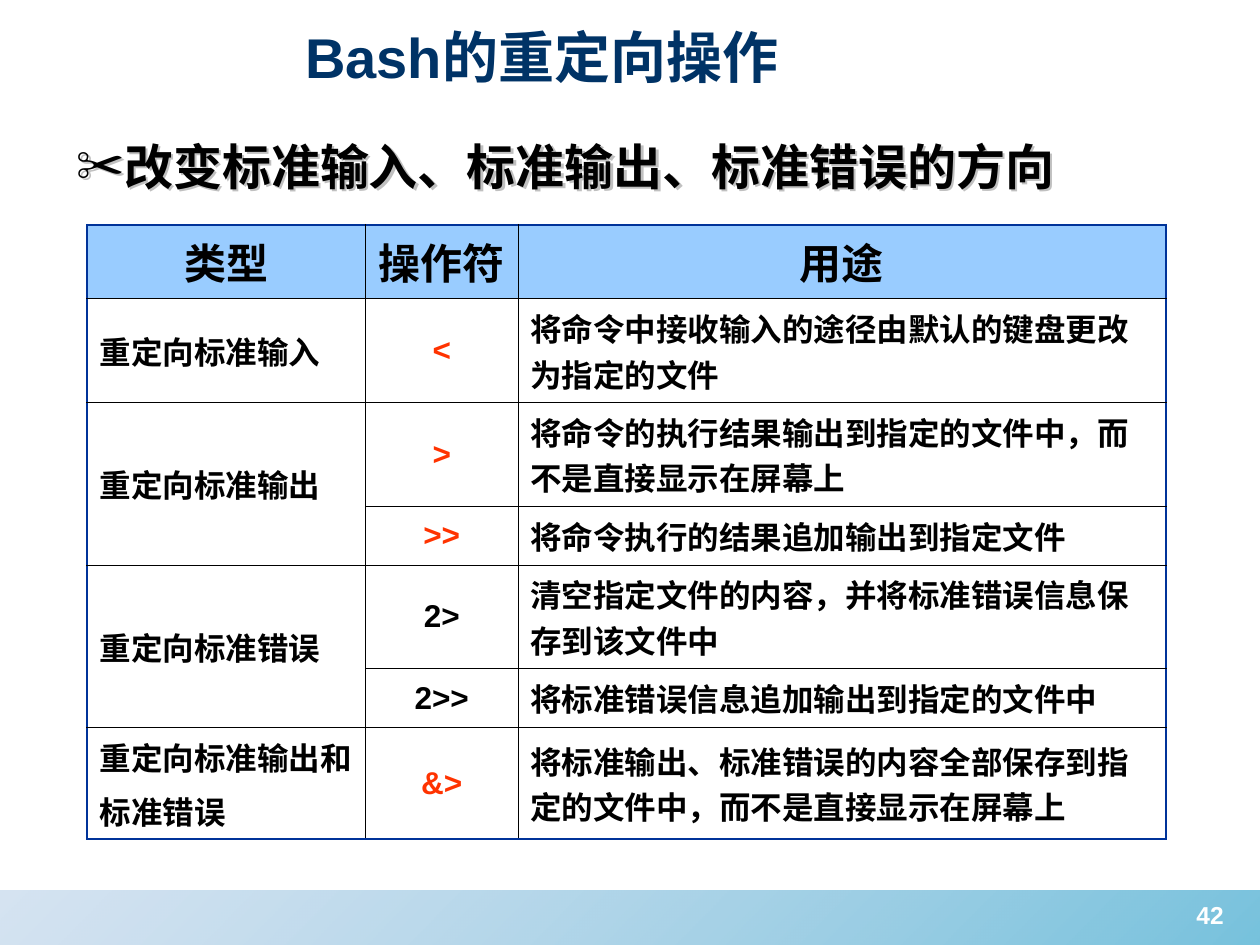
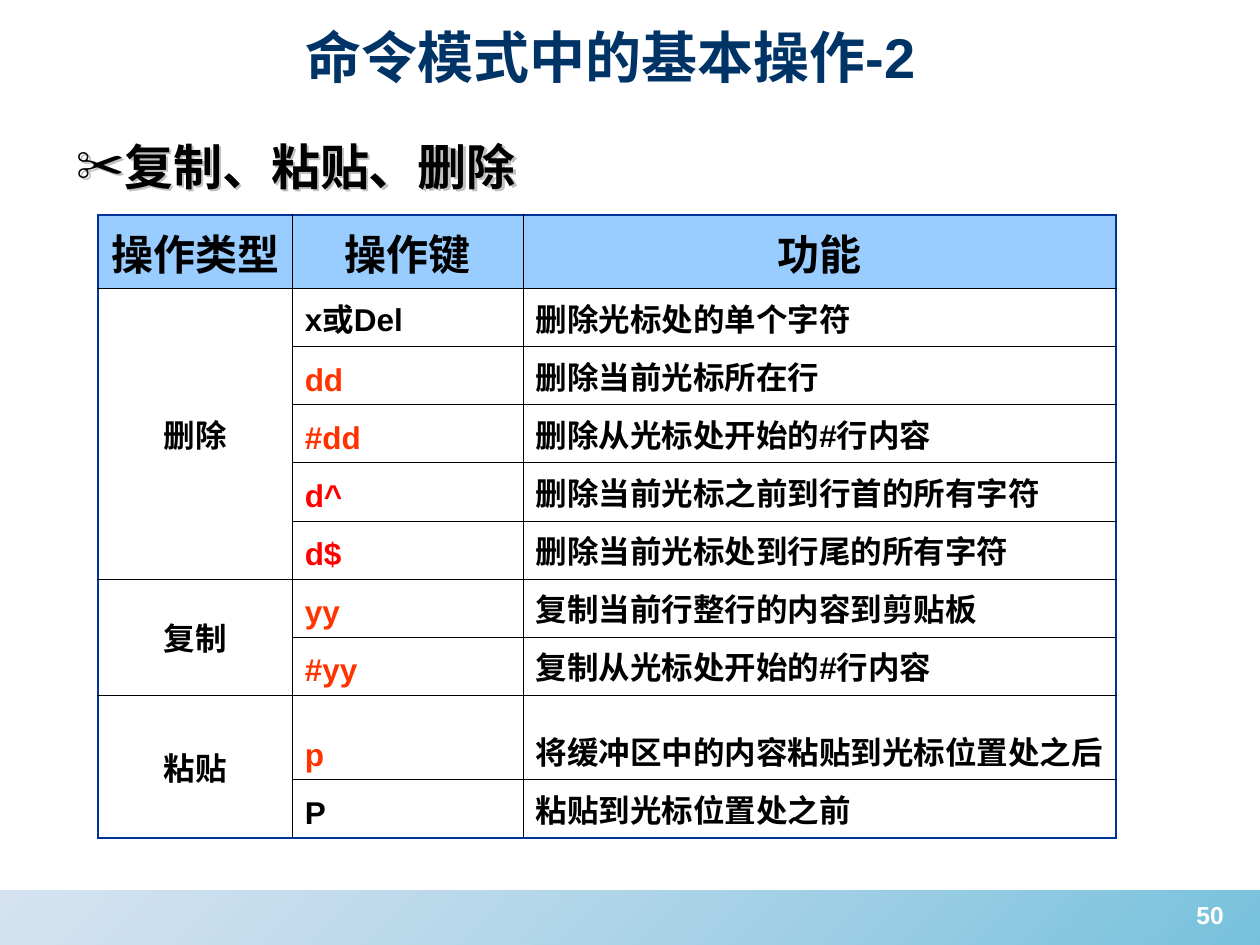
from dataclasses import dataclass

from lxml import etree
from pptx import Presentation
from pptx import util as u
from pptx.dml.color import RGBColor
from pptx.enum import shapes, text
from pptx.oxml import ns

NAVY = RGBColor(0x00, 0x33, 0x66)
BLACK = RGBColor(0x00, 0x00, 0x00)
WHITE = RGBColor(0xFF, 0xFF, 0xFF)
ORANGE = RGBColor(0xFF, 0x33, 0x00)
RED = RGBColor(0xFF, 0x00, 0x00)
HEADER_BLUE = RGBColor(0x99, 0xCC, 0xFF)
FRAME_BLUE = RGBColor(0x00, 0x33, 0x99)
SHADOW_GREY = RGBColor(0xC0, 0xC0, 0xC0)
BAND_STOPS = ((RGBColor(0x88, 0xB0, 0xD8), 35), (RGBColor(0x1C, 0x99, 0xC6), 60))

FONT = "Arial"
LEFT, CENTER = text.PP_ALIGN.LEFT, text.PP_ALIGN.CENTER
TOP, MIDDLE, BOTTOM = (
    text.MSO_ANCHOR.TOP,
    text.MSO_ANCHOR.MIDDLE,
    text.MSO_ANCHOR.BOTTOM,
)


@dataclass(frozen=True)
class Box:
    left: float
    top: float
    width: float
    height: float

    def lengths(self) -> tuple:
        return tuple(u.Cm(n) for n in (self.left, self.top, self.width, self.height))


@dataclass(frozen=True)
class Entry:
    group: str
    command: str
    usage: str
    height: float
    command_color: RGBColor = BLACK


@dataclass(frozen=True)
class ColumnStyle:
    width: float
    align: int
    anchor: int


@dataclass(frozen=True)
class CommandTable:
    left: float
    top: float
    columns: tuple
    headings: tuple
    heading_anchor: int
    heading_space: float
    entry_space: float
    entries: tuple


@dataclass(frozen=True)
class Page:
    number: int
    title: str
    topic: str
    commands: CommandTable


BAND = Box(0, 17.96, 25.4, 1.09)
NUMBER = Box(23.48, 18.01, 1.83, 1.32)
TITLE = Box(5.9, 0.33, 17.6, 1.6)
TOPIC = Box(1.28, 2.62, 23.44, 15.11)
HEADING_HEIGHT = 1.49
ONE_LINE, SPACED_LINE, TWO_LINES = 1.17, 1.19, 2.09

REDIRECTION = CommandTable(
    left=1.76,
    top=4.53,
    columns=(
        ColumnStyle(5.61, LEFT, MIDDLE),
        ColumnStyle(3.07, CENTER, MIDDLE),
        ColumnStyle(13.06, LEFT, MIDDLE),
    ),
    headings=("类型", "操作符", "用途"),
    heading_anchor=TOP,
    heading_space=6,
    entry_space=4.5,
    entries=(
        Entry("重定向标准输入", "<", "将命令中接收输入的途径由默认的键盘更改为指定的文件", TWO_LINES, ORANGE),
        Entry("重定向标准输出", ">", "将命令的执行结果输出到指定的文件中，而不是直接显示在屏幕上", TWO_LINES, ORANGE),
        Entry("", ">>", "将命令执行的结果追加输出到指定文件", SPACED_LINE, ORANGE),
        Entry("重定向标准错误", "2>", "清空指定文件的内容，并将标准错误信息保存到该文件中", TWO_LINES),
        Entry("", "2>>", "将标准错误信息追加输出到指定的文件中", SPACED_LINE),
        Entry(
            "重定向标准输出和\n标准错误",
            "&>",
            "将标准输出、标准错误的内容全部保存到指定的文件中，而不是直接显示在屏幕上",
            2.24,
            ORANGE,
        ),
    ),
)

EDITING = CommandTable(
    left=1.98,
    top=4.33,
    columns=(
        ColumnStyle(3.91, CENTER, MIDDLE),
        ColumnStyle(4.66, LEFT, BOTTOM),
        ColumnStyle(11.95, LEFT, BOTTOM),
    ),
    headings=("操作类型", "操作键", "功能"),
    heading_anchor=BOTTOM,
    heading_space=0,
    entry_space=0,
    entries=(
        Entry("删除", "x或Del", "删除光标处的单个字符", ONE_LINE),
        Entry("", "dd", "删除当前光标所在行", ONE_LINE, ORANGE),
        Entry("", "#dd", "删除从光标处开始的#行内容", ONE_LINE, ORANGE),
        Entry("", "d^", "删除当前光标之前到行首的所有字符", ONE_LINE, RED),
        Entry("", "d$", "删除当前光标处到行尾的所有字符", ONE_LINE, RED),
        Entry("复制", "yy", "复制当前行整行的内容到剪贴板", ONE_LINE, ORANGE),
        Entry("", "#yy", "复制从光标处开始的#行内容", ONE_LINE, ORANGE),
        Entry("粘贴", "p", "将缓冲区中的内容粘贴到光标位置处之后", 1.71, ORANGE),
        Entry("", "P", "粘贴到光标位置处之前", ONE_LINE),
    ),
)

PAGES = (
    Page(42, "Bash的重定向操作", "改变标准输入、标准输出、标准错误的方向", REDIRECTION),
    Page(50, "命令模式中的基本操作-2", "复制、粘贴、删除", EDITING),
)


def add_child(parent, tag: str, **attributes):
    return etree.SubElement(parent, ns.qn(tag), attributes)


def write(frame, words: str, *, size: float, color=BLACK, align=LEFT, space_before=0.0):
    frame.word_wrap = True
    for index, line in enumerate(words.split("\n")):
        paragraph = frame.add_paragraph() if index else frame.paragraphs[0]
        paragraph.alignment = align
        paragraph.space_before = u.Pt(space_before)
        run = paragraph.add_run()
        run.text = line
        run.font.name = FONT
        run.font.size = u.Pt(size)
        run.font.bold = True
        run.font.color.rgb = color


def add_text(slide, box: Box, words: str, *, anchor=TOP, **style):
    holder = slide.shapes.add_textbox(*box.lengths())
    holder.text_frame.vertical_anchor = anchor
    write(holder.text_frame, words, **style)
    return holder


def add_band(slide) -> None:
    band = slide.shapes.add_shape(shapes.MSO_SHAPE.RECTANGLE, *BAND.lengths())
    band.shadow.inherit = False
    band.line.fill.background()
    band.fill.gradient()
    band.fill.gradient_angle = 315
    for stop, (color, _) in zip(band.fill.gradient_stops, BAND_STOPS):
        stop.color.rgb = color
    for tint, (_, opacity) in zip(band.element.iter(ns.qn("a:srgbClr")), BAND_STOPS):
        add_child(tint, "a:alpha", val=str(opacity * 1000))


def add_topic(slide, words: str) -> None:
    topic = add_text(slide, TOPIC, words, size=28, space_before=7)
    properties = topic.text_frame.paragraphs[0]._p.get_or_add_pPr()
    indent = u.Cm(0.97)
    properties.set("marL", str(indent))
    properties.set("indent", str(-indent))
    add_child(add_child(properties, "a:buClr"), "a:srgbClr", val=str(BLACK))
    add_child(properties, "a:buFont", typeface=FONT)
    add_child(properties, "a:buChar", char="✂")
    effects = add_child(topic.element.spPr, "a:effectLst")
    shadow = add_child(effects, "a:outerShdw", dist=str(u.Pt(2)), dir="2700000")
    add_child(shadow, "a:srgbClr", val=str(SHADOW_GREY))


def set_borders(cell, outer_sides: set) -> None:
    properties = cell._tc.get_or_add_tcPr()
    for side in "LRTB":
        color, width = (FRAME_BLUE, 1.08) if side in outer_sides else (BLACK, 0.45)
        border = add_child(properties, f"a:ln{side}", w=str(u.Pt(width)))
        add_child(add_child(border, "a:solidFill"), "a:srgbClr", val=str(color))


def merge_groups(table, entries: tuple) -> None:
    starts = [row for row, entry in enumerate(entries, 1) if entry.group]
    for start, following in zip(starts, starts[1:] + [len(entries) + 1]):
        if following - start > 1:
            table.cell(start, 0).merge(table.cell(following - 1, 0))


def add_commands(slide, commands: CommandTable) -> None:
    heights = [HEADING_HEIGHT] + [entry.height for entry in commands.entries]
    widths = [column.width for column in commands.columns]
    box = Box(commands.left, commands.top, sum(widths), sum(heights))
    table = slide.shapes.add_table(len(heights), len(widths), *box.lengths()).table
    table.first_row = table.horz_banding = False
    for row, height in zip(table.rows, heights):
        row.height = u.Cm(height)
    for column, width in zip(table.columns, widths):
        column.width = u.Cm(width)
    merge_groups(table, commands.entries)

    for row in range(len(heights)):
        for column, style in enumerate(commands.columns):
            cell = table.cell(row, column)
            if cell.is_spanned:
                continue
            last_row = row + (cell.span_height if cell.is_merge_origin else 1) - 1
            edges = {
                "L": column == 0,
                "R": column == len(widths) - 1,
                "T": row == 0,
                "B": last_row == len(heights) - 1,
            }
            set_borders(cell, {side for side, outer in edges.items() if outer})
            if row == 0:
                cell.fill.solid()
                cell.fill.fore_color.rgb = HEADER_BLUE
                cell.vertical_anchor = commands.heading_anchor
                write(
                    cell.text_frame,
                    commands.headings[column],
                    size=24,
                    align=CENTER,
                    space_before=commands.heading_space,
                )
                continue
            entry = commands.entries[row - 1]
            cell.fill.background()
            cell.vertical_anchor = style.anchor
            write(
                cell.text_frame,
                (entry.group, entry.command, entry.usage)[column],
                size=18,
                color=entry.command_color if column == 1 else BLACK,
                align=style.align,
                space_before=commands.entry_space,
            )


def add_page(deck, page: Page) -> None:
    slide = deck.slides.add_slide(deck.slide_layouts[6])
    add_band(slide)
    add_text(slide, NUMBER, str(page.number), size=14, color=WHITE, align=CENTER)
    add_text(slide, TITLE, page.title, size=32, color=NAVY, anchor=MIDDLE)
    add_topic(slide, page.topic)
    add_commands(slide, page.commands)


def main() -> None:
    deck = Presentation()
    deck.slide_width, deck.slide_height = u.Cm(25.4), u.Cm(19.05)
    for page in PAGES:
        add_page(deck, page)
    deck.save("out.pptx")


if __name__ == "__main__":
    main()
